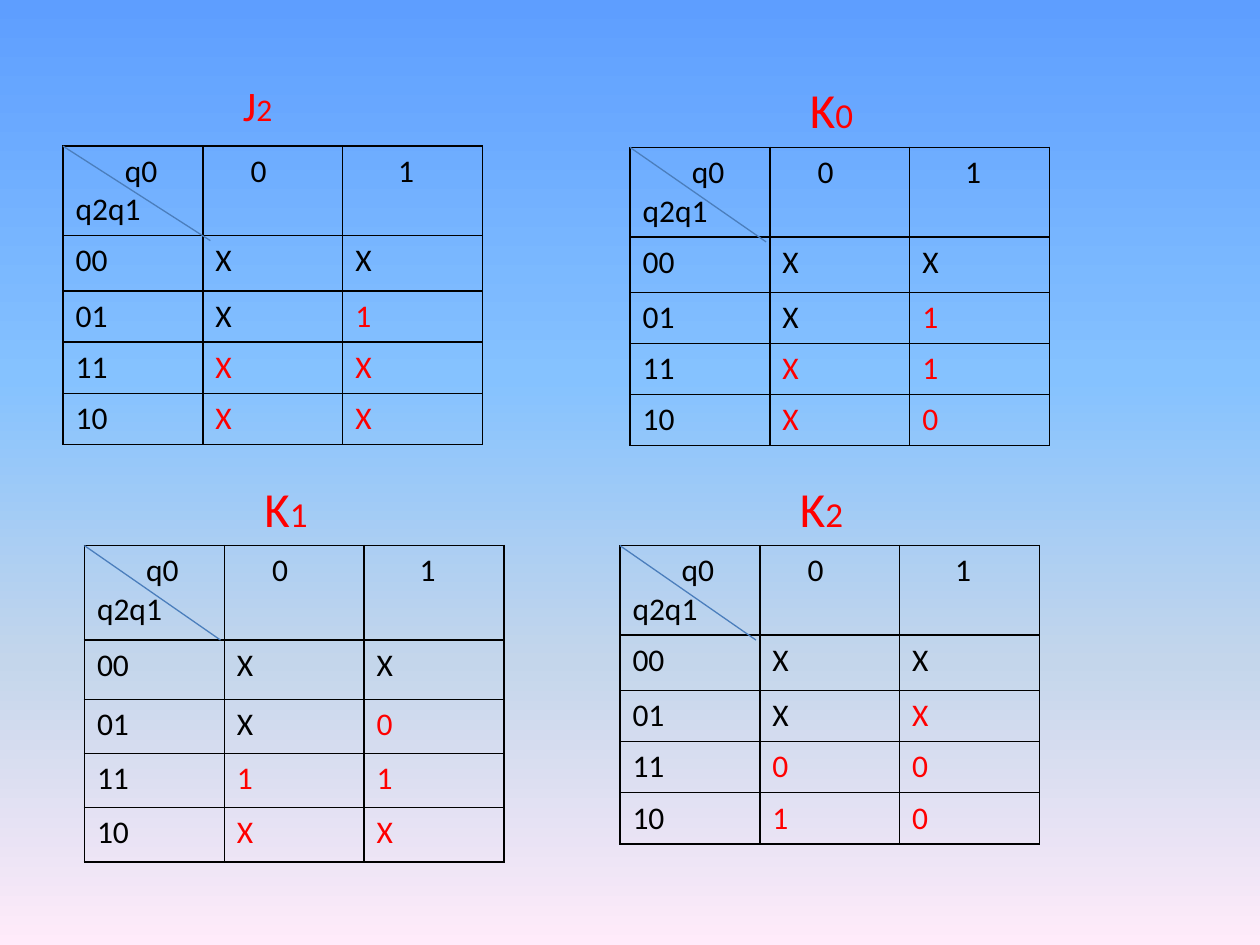
from lxml import etree
from pptx import Presentation, util as u
from pptx.dml.color import RGBColor
from pptx.enum import shapes, text
from pptx.oxml import parse_xml
from pptx.oxml.ns import nsdecls, qn

FONT = "Calibri"
COLORS = {"text": "000000", "accent": "FF0000", "diagonal": "4B7EBC", "border": "000000"}
BACKGROUND = [(0, "5E9EFF"), (40, "85C2FF"), (70, "C4D6EB"), (100, "FFEBFA")]

# Header cells with their first-line indents in inches
HEADER = [("q0 q2q1", 0.39), ("0", 0.28), ("1", 0.34)]
ROW_LABELS = ["00", "01", "11", "10"]
COLUMN_WIDTH = 1.11
ROWS = [0.71, 0.44, 0.4, 0.4, 0.4]
TALL_ROWS = [0.75, 0.47, 0.43, 0.43, 0.43]

# Karnaugh maps: name, index, sizes, title place, table place, diagonal width
MAPS = [
    {"name": "J", "index": "2", "sizes": (24, 18), "title": (1.83, 0.58, 0.49, 0.5),
     "table": (0.5, 1.16), "diagonal": 1.17, "rows": ROWS, "values": ["XX", "X1", "XX", "XX"]},
    {"name": "K", "index": "0", "sizes": (28, 20), "title": (6.33, 0.58, 0.55, 0.57),
     "table": (5, 1.17), "diagonal": 1.08, "rows": ROWS, "values": ["XX", "X1", "X1", "X0"]},
    {"name": "K", "index": "1", "sizes": (28, 20), "title": (2, 3.75, 0.55, 0.57),
     "table": (0.67, 4.33), "diagonal": 1.08, "rows": TALL_ROWS,
     "values": ["XX", "X0", "11", "XX"]},
    {"name": "K", "index": "2", "sizes": (28, 20), "title": (6.25, 3.75, 0.55, 0.57),
     "table": (4.92, 4.33), "diagonal": 1.08, "rows": ROWS, "values": ["XX", "XX", "00", "10"]},
]
DIAGONAL_HEIGHT = 0.75


def format_run(run, size, color):
    run.font.name = FONT
    run.font.size = u.Pt(size)
    run.font.color.rgb = RGBColor.from_string(COLORS[color])


def set_background(slide):
    stops = "".join(f'<a:gs pos="{position * 1000}"><a:srgbClr val="{color}"/></a:gs>'
                    for position, color in BACKGROUND)
    background = parse_xml(
        f'<p:bg {nsdecls("p", "a")}><p:bgPr><a:gradFill rotWithShape="1"><a:gsLst>{stops}</a:gsLst>'
        '<a:lin ang="5400000" scaled="0"/></a:gradFill><a:effectLst/></p:bgPr></p:bg>')
    slide.element.cSld.insert(0, background)


def set_borders(cell):
    properties = cell._tc.get_or_add_tcPr()
    for position, side in enumerate(("lnL", "lnR", "lnT", "lnB")):
        properties.insert(position, parse_xml(
            f'<a:{side} {nsdecls("a")} w="12700"><a:solidFill>'
            f'<a:srgbClr val="{COLORS["border"]}"/></a:solidFill></a:{side}>'))


def fill_cell(cell, content, color="text", indent=0):
    cell.text_frame.text = content
    paragraph = cell.text_frame.paragraphs[0]
    if indent:
        properties = paragraph._p.get_or_add_pPr()
        properties.set("marL", "0")
        properties.set("indent", str(u.Inches(indent)))
    format_run(paragraph.runs[0], 18, color)
    cell.fill.background()
    set_borders(cell)


def add_title(slide, kmap):
    box = slide.shapes.add_textbox(*map(u.Inches, kmap["title"]))
    box.text_frame.word_wrap = False
    box.text_frame.auto_size = text.MSO_AUTO_SIZE.SHAPE_TO_FIT_TEXT
    paragraph = box.text_frame.paragraphs[0]
    for content, size in zip((kmap["name"], kmap["index"]), kmap["sizes"]):
        run = paragraph.add_run()
        run.text = content
        format_run(run, size, "accent")


def add_map_table(slide, kmap):
    left, top = kmap["table"]
    heights = kmap["rows"]
    table = slide.shapes.add_table(
        len(heights), len(HEADER), u.Inches(left), u.Inches(top),
        u.Inches(COLUMN_WIDTH * len(HEADER)), u.Inches(sum(heights))).table
    table.first_row = table.horz_banding = False
    for column in table.columns:
        column.width = u.Inches(COLUMN_WIDTH)
    for row, height in zip(table.rows, heights):
        row.height = u.Inches(height)

    for column, (content, indent) in enumerate(HEADER):
        fill_cell(table.cell(0, column), content, indent=indent)
    for row, (label, values) in enumerate(zip(ROW_LABELS, kmap["values"]), 1):
        fill_cell(table.cell(row, 0), label)
        for column, value in enumerate(values, 1):
            # The first row and the X below it are unmarked
            plain = row == 1 or (row, column) == (2, 1)
            fill_cell(table.cell(row, column), value, "text" if plain else "accent")


def add_diagonal(slide, kmap):
    left, top = kmap["table"]
    line = slide.shapes.add_connector(
        shapes.MSO_CONNECTOR.STRAIGHT, u.Inches(left), u.Inches(top),
        u.Inches(left + kmap["diagonal"]), u.Inches(top + DIAGONAL_HEIGHT))
    line.line.color.rgb = RGBColor.from_string(COLORS["diagonal"])
    line.line.width = u.Pt(0.75)
    etree.SubElement(line._element.spPr, qn("a:effectLst"))


def main():
    presentation = Presentation()
    presentation.slide_width, presentation.slide_height = u.Inches(10), u.Inches(7.5)
    slide = presentation.slides.add_slide(presentation.slide_layouts[6])
    set_background(slide)
    for add_part in (add_map_table, add_title, add_diagonal):
        for kmap in MAPS:
            add_part(slide, kmap)
    presentation.save("out.pptx")


if __name__ == "__main__":
    main()
